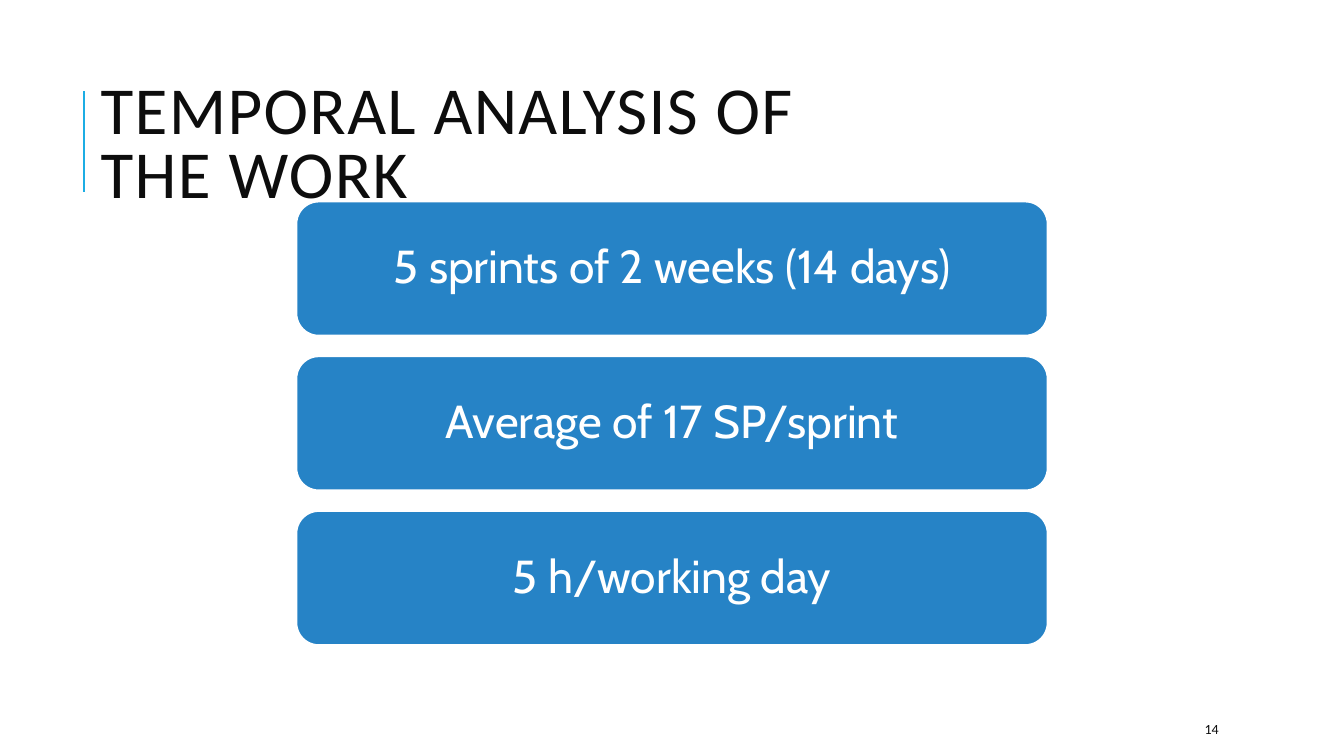
"""Build the slide on the temporal analysis of the work."""
from pptx import Presentation
from pptx.dml.color import RGBColor
from pptx.enum.shapes import MSO_CONNECTOR, MSO_SHAPE
from pptx.enum.text import MSO_ANCHOR, PP_ALIGN
from pptx.oxml.ns import qn
from pptx.util import Inches, Pt
from lxml.etree import SubElement

COLORS = {"ink": "0D0D0D", "accent": "1CADE4", "card": "2683C6", "white": "FFFFFF"}
FACTS = ["5 sprints of 2 weeks (14 days)", "Average of 17 SP/sprint", "5 h/working day"]


def color(name):
    return RGBColor.from_string(COLORS[name])


def write(box, text, size, face, ink, spacing=1.0, align=PP_ALIGN.LEFT):
    frame = box.text_frame
    frame.word_wrap = True
    frame.vertical_anchor = MSO_ANCHOR.MIDDLE
    para = frame.paragraphs[0]
    para.alignment = align
    para.line_spacing = spacing
    para.font.size = Pt(size)
    para.font.name = face
    para.font.color.rgb = color(ink)
    span = para.add_run()
    span.text = text
    return span


deck = Presentation()
deck.slide_width = Inches(13.33)
deck.slide_height = Inches(7.5)
page = deck.slides.add_slide(deck.slide_layouts[6])

rule = page.shapes.add_connector(
    MSO_CONNECTOR.STRAIGHT, Inches(0.83), Inches(1.9), Inches(0.83), Inches(0.9))
rule.line.color.rgb = color("accent")
rule.line.width = Pt(1.5)
SubElement(rule._element.spPr, qn("a:effectLst"))

title = page.shapes.add_textbox(Inches(0.9), Inches(0.84), Inches(7.45), Inches(1.24))
heading = write(title, "TEMPORAL ANALYSIS OF THE WORK", 48, "Calibri", "ink", 0.8)
heading._r.get_or_add_rPr().set("spc", "100")

for row, fact in enumerate(FACTS):
    card = page.shapes.add_shape(
        MSO_SHAPE.ROUNDED_RECTANGLE,
        Inches(2.94), Inches(2 + row * 1.535), Inches(7.45), Inches(1.33))
    card.shadow.inherit = False
    card.fill.solid()
    card.fill.fore_color.rgb = color("card")
    card.line.color.rgb = color("white")
    card.line.width = Pt(1.25)
    frame = card.text_frame
    frame.margin_left = frame.margin_right = Inches(0.14)
    frame.margin_top = frame.margin_bottom = Inches(0.14)
    write(card, fact, 33, "Cabin", "white", 0.9, PP_ALIGN.CENTER)

number = page.shapes.add_textbox(Inches(11.85), Inches(7.08), Inches(1.06), Inches(0.3))
write(number, "14", 10, "Calibri", "ink")

deck.save("out.pptx")
